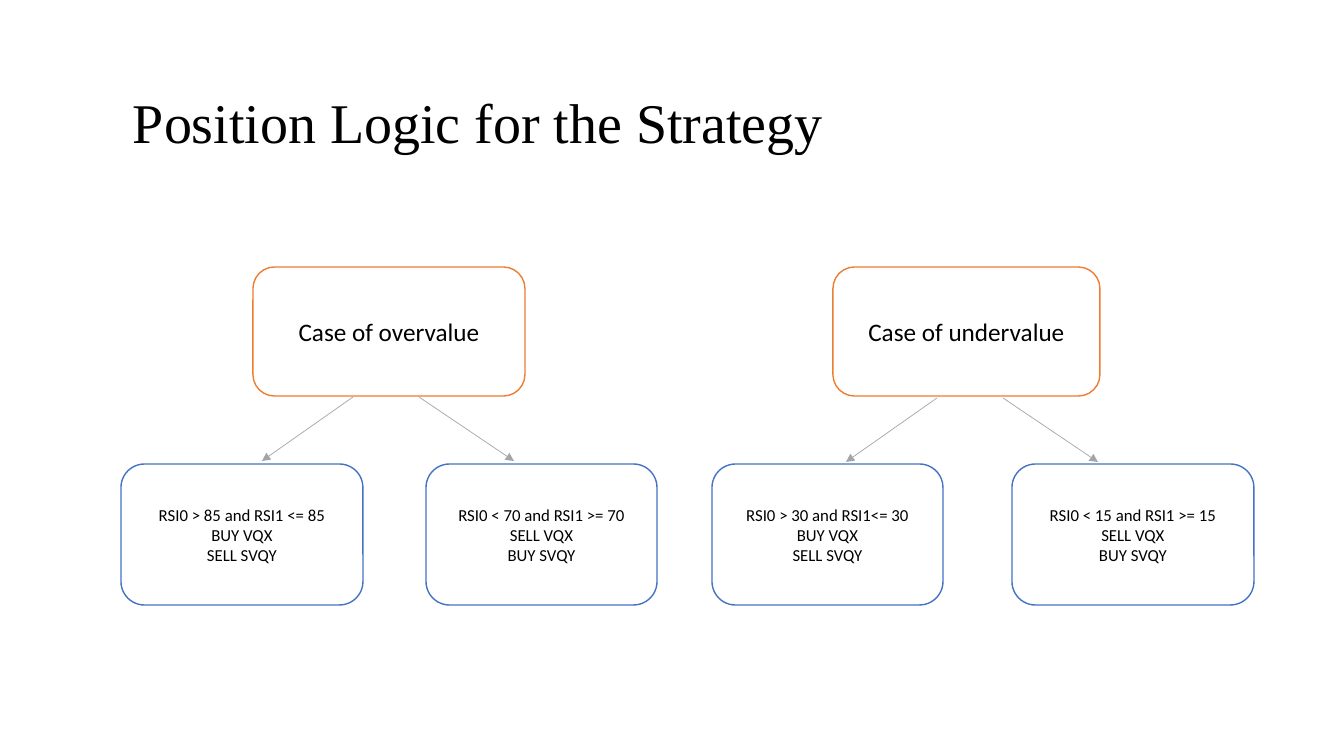
from dataclasses import dataclass

from lxml import etree
from pptx import Presentation
from pptx.dml.color import RGBColor
from pptx.enum.shapes import MSO_CONNECTOR, MSO_SHAPE
from pptx.enum.text import MSO_ANCHOR, PP_ALIGN
from pptx.oxml.ns import qn
from pptx.slide import Slide
from pptx.text.text import TextFrame
from pptx.util import Emu, Pt

PX_PER_INCH = 100.8
BLACK = RGBColor(0x00, 0x00, 0x00)
WHITE = RGBColor(0xFF, 0xFF, 0xFF)
ORANGE = RGBColor(0xED, 0x7D, 0x31)
BLUE = RGBColor(0x44, 0x72, 0xC4)
GRAY = RGBColor(0xA5, 0xA5, 0xA5)
ROUND_RECT = MSO_SHAPE.ROUNDED_RECTANGLE
STRAIGHT = MSO_CONNECTOR.STRAIGHT
MIDDLE = MSO_ANCHOR.MIDDLE
LEFT, CENTER = PP_ALIGN.LEFT, PP_ALIGN.CENTER

CASE_TOP, CASE_H = 267, 129
RULE_TOP, RULE_H = 464, 141
ARROW_H = 64
BUY_SELL = "BUY VQX\nSELL SVQY"
SELL_BUY = "SELL VQX\nBUY SVQY"


@dataclass(frozen=True)
class Box:
    """A rounded box: left edge, width and text."""
    left: int
    width: int
    text: str


@dataclass(frozen=True)
class Branch:
    """A case, its two rules, and where its pair of arrows starts."""
    case: Box
    rules: tuple[Box, Box]
    arrow_x: int
    arrow_y: int


BRANCHES = (
    Branch(Box(253, 272, "Case of overvalue"),
           (Box(121, 242, "RSI0 > 85 and RSI1 <= 85\n" + BUY_SELL),
            Box(426, 231, "RSI0 < 70 and RSI1 >= 70\n" + SELL_BUY)),
           353, 397),
    Branch(Box(833, 267, "Case of undervalue"),
           (Box(712, 231, "RSI0 > 30 and RSI1<= 30\n" + BUY_SELL),
            Box(1012, 242, "RSI0 < 15 and RSI1 >= 15\n" + SELL_BUY)),
           937, 398),
)
# Start and end offsets of each arrow from its branch's arrow_x
ARROW_OFFSETS = ((0, -91), (66, 161))


def px(n: int) -> Emu:
    """Turn pixels into EMU."""
    return Emu(round(n * 914400 / PX_PER_INCH))


def set_text(tf: TextFrame, text: str, size: int, font: str,
             align: PP_ALIGN) -> None:
    """Fill a text frame and format all its runs alike."""
    tf.text = text
    tf.word_wrap = True
    tf.vertical_anchor = MIDDLE
    for p in tf.paragraphs:
        p.alignment = align
        for r in p.runs:
            r.font.size = Pt(size)
            r.font.name = font
            r.font.color.rgb = BLACK


def add_title(s: Slide, text: str) -> None:
    """Add the slide heading."""
    sp = s.shapes.add_textbox(px(123), px(60), px(1121), px(130))
    set_text(sp.text_frame, text, 40, "Times New Roman", LEFT)
    sp.text_frame.paragraphs[0].line_spacing = 0.9


def add_box(s: Slide, box: Box, top: int, height: int, color: RGBColor,
            size: int) -> None:
    """Add a white rounded box with a coloured outline."""
    sp = s.shapes.add_shape(ROUND_RECT, px(box.left), px(top),
                            px(box.width), px(height))
    sp.shadow.inherit = False
    sp.fill.solid()
    sp.fill.fore_color.rgb = WHITE
    sp.line.color.rgb = color
    sp.line.width = Pt(1)
    set_text(sp.text_frame, box.text, size, "Calibri", CENTER)


def add_arrow(s: Slide, x1: int, y1: int, x2: int, y2: int) -> None:
    """Add a thin gray arrow pointing at its second end."""
    cxn = s.shapes.add_connector(STRAIGHT, px(x1), px(y1), px(x2), px(y2))
    cxn.line.color.rgb = GRAY
    cxn.line.width = Pt(0.5)
    etree.SubElement(cxn.line._get_or_add_ln(), qn("a:tailEnd"),
                     type="triangle")
    etree.SubElement(cxn._element.spPr, qn("a:effectLst"))


def add_branch(s: Slide, branch: Branch) -> None:
    """Add a case with its rules and arrows."""
    add_box(s, branch.case, CASE_TOP, CASE_H, ORANGE, 18)
    for rule in branch.rules:
        add_box(s, rule, RULE_TOP, RULE_H, BLUE, 12)
    for start, end in ARROW_OFFSETS:
        add_arrow(s, branch.arrow_x + start, branch.arrow_y,
                  branch.arrow_x + end, branch.arrow_y + ARROW_H)


def main() -> None:
    """Build and save the slide."""
    prs = Presentation()
    prs.slide_width, prs.slide_height = px(1344), px(756)
    s = prs.slides.add_slide(prs.slide_layouts[6])
    add_title(s, "Position Logic for the Strategy")
    for branch in BRANCHES:
        add_branch(s, branch)
    prs.save("out.pptx")


main()
